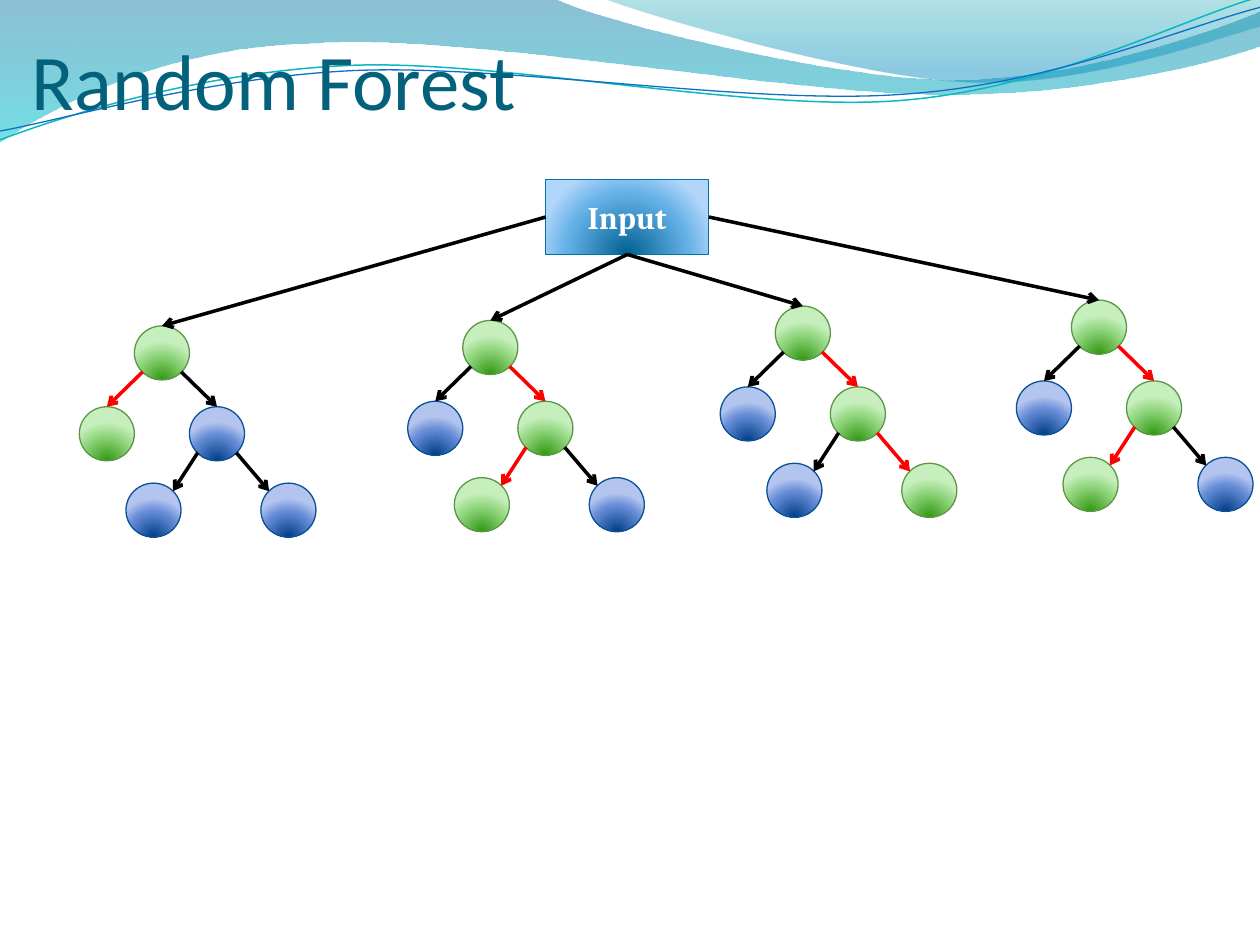
import math

import lxml.etree
import pptx
import pptx.dml.color
import pptx.enum.shapes
import pptx.enum.text
import pptx.oxml
import pptx.oxml.ns
import pptx.util
from pptx.util import Cm

qn = pptx.oxml.ns.qn

GREEN = {"stops": [(0, "319811"), (68, "95D882"), (100, "C6EFBD")], "line": "5B9747"}
BLUE = {"stops": [(0, "003D87"), (68, "668DD7"), (100, "B3C4EF")], "line": "095295"}
INPUT = {"stops": [(0, "006091"), (68, "64B1E7"), (100, "B1D6F9")], "line": "0074A1"}
BLACK, RED, WHITE, TEAL = "000000", "FF0000", "FFFFFF", "04617B"

NODE_W, NODE_H = 1.11, 1.09
CHILD_DX, CHILD_DY = 1.11, 1.63
LEAF_DX, LEAF_DY = (-0.17, 2.55), 3.17
NEAR, FAR = 0.15, 0.85
STRAND_TILT, STRAND_CENTER = 357.3, (12.68, 1.48)

BROAD_WAVE = [
    [(0, 0)], [(11.18, -0.03)],
    [(12.09, 0.43), (16.87, 1.6), (19.25, 1.6)],
    [(21.67, 1.6), (24.33, 0.66), (25.4, 0.23)],
    [(25.43, 0.91)],
    [(24.97, 1.12), (22.1, 1.93), (18.95, 1.9)],
    [(15.8, 1.9), (9.7, 0.71), (6.53, 0.86)],
    [(3.28, 0.91), (1.17, 2.11), (-0.03, 2.87)],
    [(0, 0)],
]
RIGHT_WAVE = [
    [(12.17, -0.03)],
    [(12.93, 0.28), (17.32, 1.57), (19.53, 1.65)],
    [(21.74, 1.75), (24.41, 0.81), (25.4, 0.53)],
    [(25.4, 0)], [(12.17, -0.03)],
]
TEAL_STRAND = [
    [(0, 2.82)],
    [(1.22, 2.36), (4.01, 1.45), (7.04, 1.32)],
    [(10.03, 1.19), (15.06, 2.26), (18.11, 2.03)],
    [(21.16, 1.8), (23.83, 0.38), (25.35, -0.05)],
]
BLUE_STRAND = [
    [(0, 2.64)],
    [(1.19, 2.44), (4.17, 1.55), (7.19, 1.42)],
    [(10.24, 1.3), (15.16, 2.13), (18.21, 1.9)],
    [(21.23, 1.7), (23.9, 0.53), (25.4, 0.15)],
]


def color(hex_text):
    return pptx.dml.color.RGBColor.from_string(hex_text)


def level(segments):
    turn = math.radians(360 - STRAND_TILT)
    cx, cy = STRAND_CENTER

    def turned(x, y):
        dx, dy = x - cx, y - cy
        return (cx + dx * math.cos(turn) - dy * math.sin(turn),
                cy + dx * math.sin(turn) + dy * math.cos(turn))

    return [[turned(*point) for point in segment] for segment in segments]


class ForestSlide:
    title_font, label_font = "Calibri", "Cambria"

    def __init__(self, deck):
        self.slide = deck.slides.add_slide(deck.slide_layouts[5])
        self.shapes = self.slide.shapes

    def gradient(self, shape, stops, direction):
        shape.fill.background()
        fill = pptx.oxml.parse_xml(f'<a:gradFill {pptx.oxml.ns.nsdecls("a")} rotWithShape="1"><a:gsLst/>{direction}</a:gradFill>')
        for position, hex_text, *alpha in stops:
            stop = lxml.etree.SubElement(fill[0], qn("a:gs"), pos=str(position * 1000))
            tint = lxml.etree.SubElement(stop, qn("a:srgbClr"), val=hex_text)
            if alpha:
                lxml.etree.SubElement(tint, qn("a:alpha"), val=str(alpha[0] * 1000))
        properties = shape.element.spPr
        properties.replace(properties.find(qn("a:noFill")), fill)

    def outline(self, segments, close):
        points = [(Cm(x), Cm(y)) for segment in segments for x, y in segment]
        builder = self.shapes.build_freeform(*points[0])
        builder.add_line_segments(points[1:], close=close)
        shape = builder.convert_to_shape()
        shape.shadow.inherit = False
        steps = iter(list(shape.element.iter(qn("a:lnTo"))))
        for segment in segments[1:]:
            strokes = [next(steps) for _ in segment]
            if len(segment) == 3:
                curve = lxml.etree.Element(qn("a:cubicBezTo"))
                strokes[0].addprevious(curve)
                for stroke in strokes:
                    curve.append(stroke[0])
                    stroke.getparent().remove(stroke)
        return shape

    def wave(self, segments, stops):
        shape = self.outline(segments, True)
        shape.line.fill.background()
        self.gradient(shape, stops, '<a:lin ang="5400000" scaled="0"/>')

    def strand(self, segments, hex_text, width):
        shape = self.outline(level(segments), False)
        shape.rotation = STRAND_TILT
        shape.fill.background()
        shape.line.color.rgb = color(hex_text)
        shape.line.width = pptx.util.Pt(width)

    def title(self, text, left, top, width, height):
        heading = self.shapes.title
        heading.element.getparent().append(heading.element)
        heading.left, heading.top, heading.width, heading.height = Cm(left), Cm(top), Cm(width), Cm(height)
        frame = heading.text_frame
        frame.text = text
        frame.margin_left = frame.margin_right = frame.margin_bottom = 0
        frame.vertical_anchor = pptx.enum.text.MSO_ANCHOR.BOTTOM
        frame.auto_size = pptx.enum.text.MSO_AUTO_SIZE.NONE
        self.format(frame.paragraphs[0], self.title_font, 45, TEAL, pptx.enum.text.PP_ALIGN.LEFT)

    def format(self, paragraph, font, size, hex_text, alignment, bold=False):
        paragraph.alignment = alignment
        paragraph.font.name = font
        paragraph.font.size = pptx.util.Pt(size)
        paragraph.font.bold = bold
        paragraph.font.color.rgb = color(hex_text)

    def glossy(self, preset, look, left, top, width, height):
        shape = self.shapes.add_shape(preset, Cm(left), Cm(top), Cm(width), Cm(height))
        shape.line.color.rgb = color(look["line"])
        shape.line.width = pptx.util.Pt(0.75)
        self.gradient(shape, look["stops"],
                      '<a:path path="circle"><a:fillToRect l="50000" t="130000" r="50000" b="-30000"/></a:path>')
        shape.shadow.inherit = False
        return shape

    def node(self, look, left, top):
        return self.glossy(pptx.enum.shapes.MSO_SHAPE.OVAL, look, left, top, NODE_W, NODE_H)

    def box(self, text, left, top, width, height):
        shape = self.glossy(pptx.enum.shapes.MSO_SHAPE.RECTANGLE, INPUT, left, top, width, height)
        frame = shape.text_frame
        frame.text = text
        frame.vertical_anchor = pptx.enum.text.MSO_ANCHOR.MIDDLE
        self.format(frame.paragraphs[0], self.label_font, 18, WHITE, pptx.enum.text.PP_ALIGN.CENTER, True)
        return shape

    def arrow(self, hex_text, begin=(0, 0), end=(0, 0)):
        link = self.shapes.add_connector(pptx.enum.shapes.MSO_CONNECTOR.STRAIGHT, *map(int, (*begin, *end)))
        link.line.color.rgb = color(hex_text)
        link.line.width = pptx.util.Pt(2)
        properties = link.element.spPr
        lxml.etree.SubElement(properties.find(qn("a:ln")), qn("a:tailEnd"), type="arrow")
        lxml.etree.SubElement(properties, qn("a:effectLst"))
        return link

    def tree(self, left, top, inner_side, chosen):
        def at(node, x, y):
            return node.left + node.width * x, node.top + node.height * y

        def looks(pick):
            return [GREEN if side == pick else BLUE for side in (0, 1)]

        def hues(pick):
            return [RED if side == pick else BLACK for side in (0, 1)]

        root = self.node(GREEN, left, top)
        children = [self.node(look, left + dx, top + CHILD_DY)
                    for look, dx in zip(looks(inner_side), (-CHILD_DX, CHILD_DX))]
        leaves = [self.node(look, left + dx, top + LEAF_DY) for look, dx in zip(looks(chosen), LEAF_DX)]
        for child, hue, x in zip(children, hues(inner_side), (NEAR, FAR)):
            self.arrow(hue, at(root, x, FAR)).end_connect(child, 0)
        for leaf, hue, x in zip(leaves, hues(chosen), (NEAR, FAR)):
            self.arrow(hue, at(children[1], x, FAR), at(leaf, 1 - x, NEAR))
        return root


def main():
    deck = pptx.Presentation()
    deck.slide_width, deck.slide_height = Cm(25.4), Cm(19.05)
    forest = ForestSlide(deck)
    forest.wave(BROAD_WAVE, [(0, "0074A1", 45), (100, "00C6CF", 55)])
    forest.wave(RIGHT_WAVE, [(0, "00A1A9", 30), (80, "008BBF", 45)])
    forest.strand(TEAL_STRAND, "0AB8BF", 0.85)
    forest.strand(BLUE_STRAND, "0F6FC6", 0.75)
    forest.title("Random Forest", 0.64, 0.64, 21.49, 1.9)

    trees = [(2.71, 6.57, 0, None), (9.33, 6.46, 1, 0), (15.63, 6.17, 1, 1), (21.6, 6.05, 1, 0)]
    roots = [forest.tree(*tree) for tree in trees]
    sample = forest.box("Input", 11, 3.62, 3.29, 1.51)
    for root, side in zip(roots, (1, 2, 2, 3)):
        feed = forest.arrow(BLACK)
        feed.begin_connect(sample, side)
        feed.end_connect(root, 0)
    deck.save("out.pptx")


if __name__ == "__main__":
    main()
